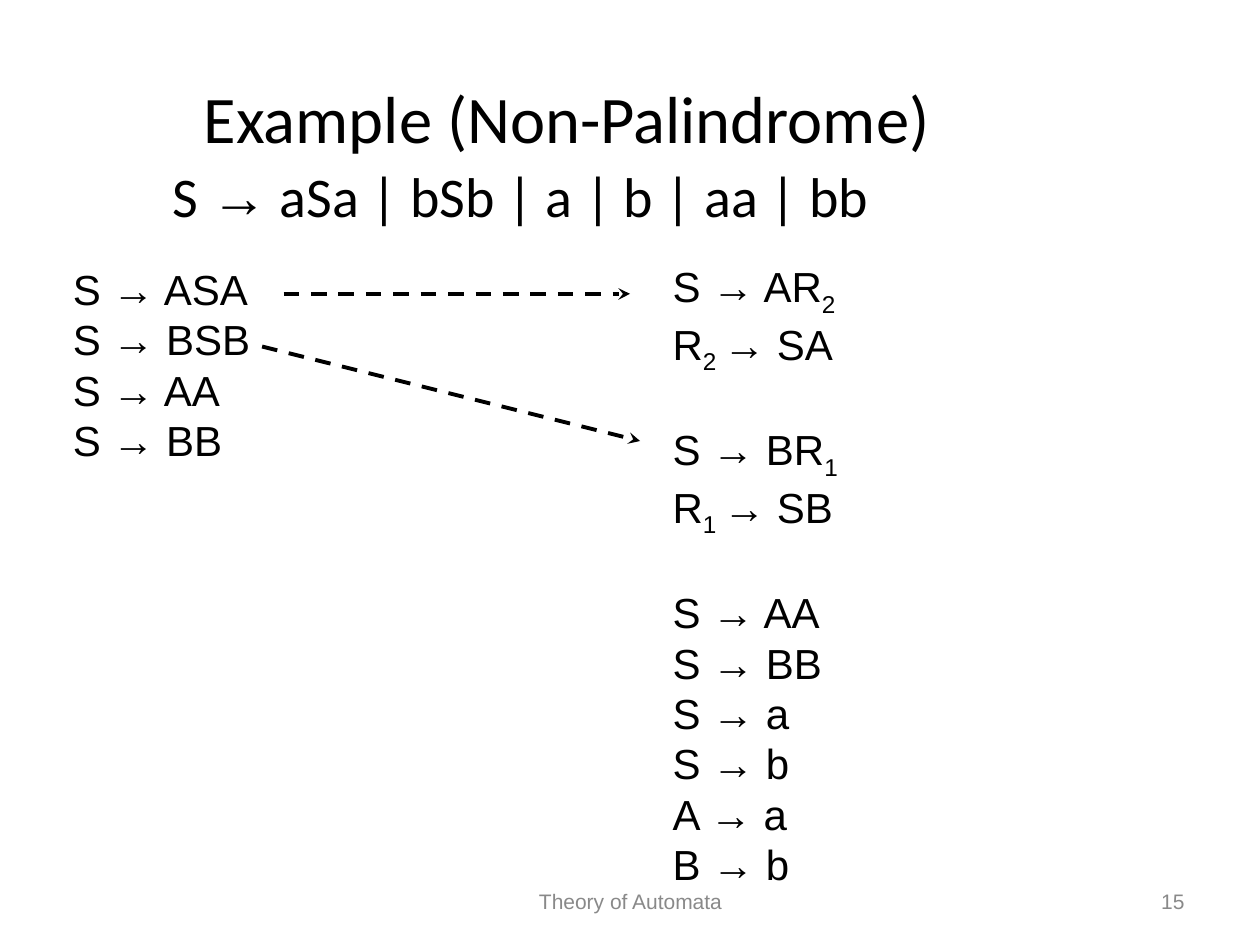
from lxml import etree
from pptx import Presentation
from pptx import util as u
from pptx.dml.color import RGBColor
from pptx.enum import dml, shapes, text
from pptx.oxml.ns import qn

COLORS = {"ink": "000000", "footer": "898989", "paper": "FFFFFF"}
WIDTH, HEIGHT = u.Inches(10), u.Inches(7.5)
ALIGN, ANCHOR = text.PP_ALIGN, text.MSO_ANCHOR
BLANK_LINE = 27.6  # points, one line of 24 pt Arial

LEFT_GROUPS = [["S → ASA", "S → BSB", "S → AA", "S → BB"]]
# "|" switches between normal text and subscript
RIGHT_GROUPS = [
    ["S → AR|2", "R|2 |→ SA"],
    ["S → BR|1", "R|1 |→ SB"],
    ["S → AA", "S → BB", "S → a", "S → b", "A → a", "B → b"],
]


def place(x, y):
    """Turn percentages of the slide's width and height into lengths."""
    return round(WIDTH * x / 100), round(HEIGHT * y / 100)


def add_frame(slide, box, anchor=ANCHOR.TOP):
    left, top, width, height = box
    shape = slide.shapes.add_textbox(*place(left, top), *place(width, height))
    text_frame = shape.text_frame
    text_frame.word_wrap = True
    text_frame.vertical_anchor = anchor
    return text_frame


def add_run(paragraph, words, size, font="Arial", color="ink"):
    run = paragraph.add_run()
    run.text = words
    run.font.size = u.Pt(size)
    run.font.name = font
    run.font.color.rgb = RGBColor.from_string(COLORS[color])
    return run


def add_line_of_text(slide, box, words, size, font, color, align):
    paragraph = add_frame(slide, box, ANCHOR.MIDDLE).paragraphs[0]
    paragraph.alignment = align
    add_run(paragraph, words, size, font, color)


def add_grammar(slide, box):
    text_frame = add_frame(slide, box)
    text_frame.margin_left = u.Inches(1.37)
    text_frame.margin_top = u.Inches(0.03)
    paragraph = text_frame.paragraphs[0]
    for words, font in (("S ", "Calibri"), ("→", "Arial"),
                        (" aSa | bSb | a | b | aa | bb", "Calibri")):
        add_run(paragraph, words, 32, font)


def add_productions(slide, box, groups):
    """List productions, with the space of one line between groups."""
    text_frame = add_frame(slide, box)
    paragraph = None
    for group in groups:
        for row, production in enumerate(group):
            first = paragraph is None
            paragraph = text_frame.paragraphs[0] if first else text_frame.add_paragraph()
            if row == 0 and not first:
                paragraph.space_before = u.Pt(BLANK_LINE)
            for index, words in enumerate(production.split("|")):
                run = add_run(paragraph, words, 24)
                if index % 2:
                    run.font._element.set("baseline", "-25000")


def add_dashed_arrow(slide, start, end):
    arrow = slide.shapes.add_connector(
        shapes.MSO_CONNECTOR.STRAIGHT, *place(*start), *place(*end))
    arrow.line.color.rgb = RGBColor.from_string(COLORS["ink"])
    arrow.line.width = u.Pt(2.25)
    arrow.line.dash_style = dml.MSO_LINE.DASH
    etree.SubElement(arrow.line._get_or_add_ln(), qn("a:tailEnd"), type="stealth")
    etree.SubElement(arrow._element.spPr, qn("a:effectLst"))


def add_footer(slide, top, height):
    for left, width, words, align in (
            (34.2, 31.7, "Theory of Automata", ALIGN.CENTER),
            (71.7, 23.3, "15", ALIGN.RIGHT)):
        add_line_of_text(slide, (left, top, width, height), words,
                         12, "Arial", "footer", align)


def build_slide(presentation):
    slide = presentation.slides.add_slide(presentation.slide_layouts[6])
    fill = slide.background.fill
    fill.solid()
    fill.fore_color.rgb = RGBColor.from_string(COLORS["paper"])
    add_footer(slide, 92.67, 5.33)
    add_line_of_text(slide, (0, 4, 90, 16.67), "Example (Non-Palindrome)",
                     38, "Calibri", "ink", ALIGN.CENTER)
    add_grammar(slide, (0, 16.67, 90, 15.6))
    add_productions(slide, (4.8, 27.2, 42, 62.67), LEFT_GROUPS)
    add_productions(slide, (52.4, 26.93, 16, 68.27), RIGHT_GROUPS)
    add_dashed_arrow(slide, (22.5, 31.1), (50, 31.1))
    add_dashed_arrow(slide, (20.8, 36.67), (50.8, 46.67))


def main():
    presentation = Presentation()
    presentation.slide_width, presentation.slide_height = WIDTH, HEIGHT
    build_slide(presentation)
    presentation.save("out.pptx")


if __name__ == "__main__":
    main()
